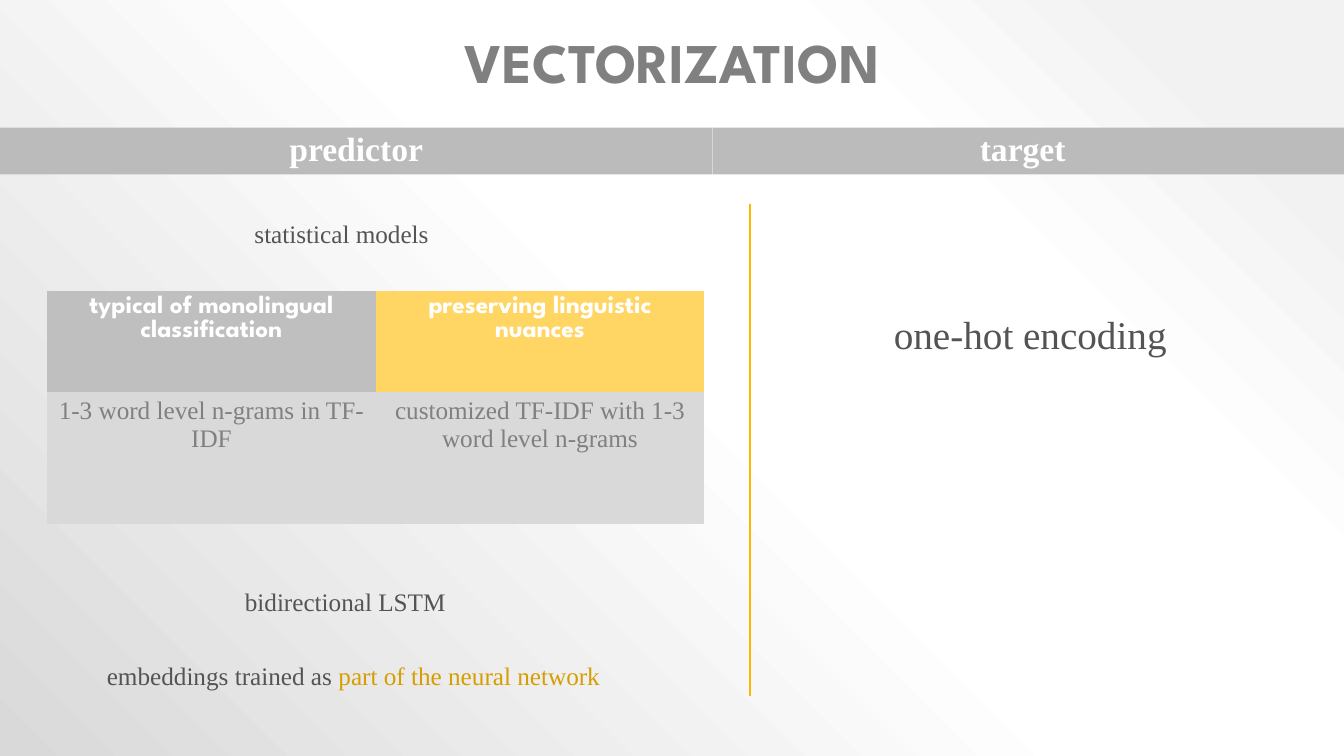
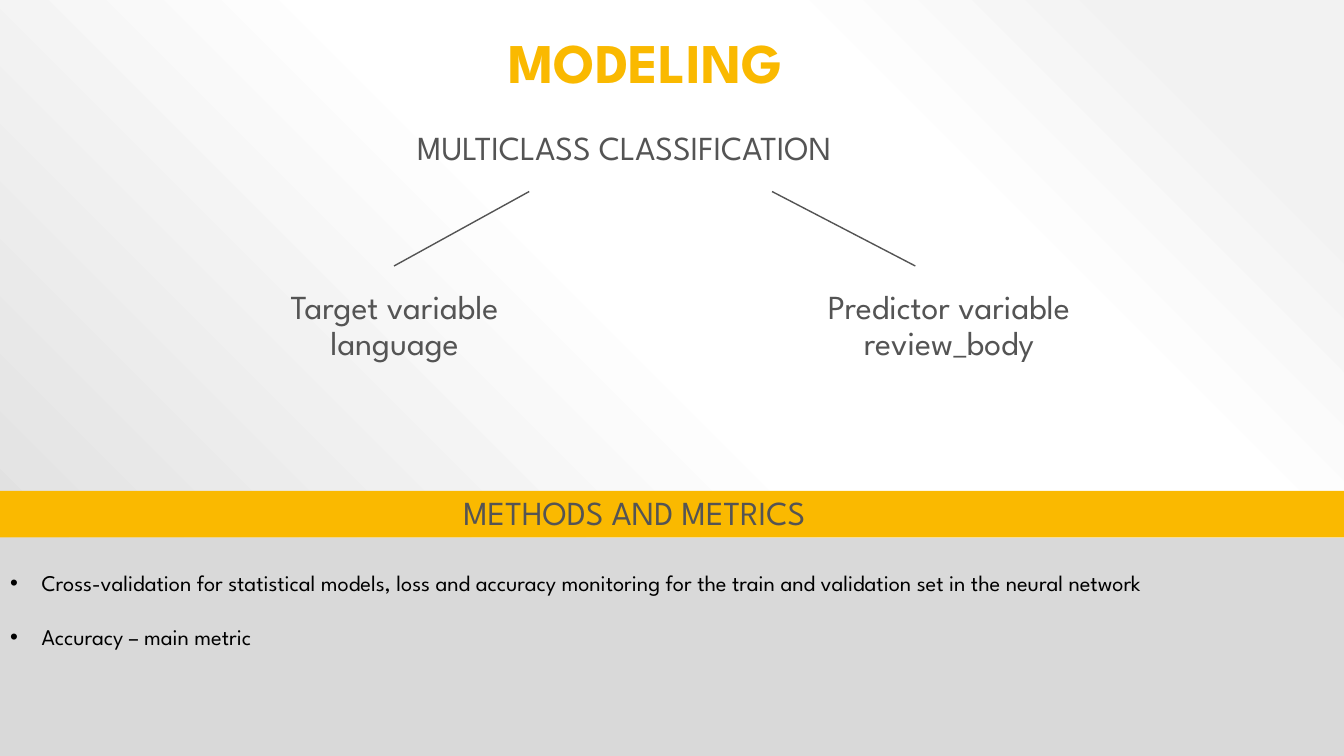
from dataclasses import dataclass

from lxml import etree
from pptx import Presentation
from pptx.dml.color import RGBColor
from pptx.enum.shapes import MSO_CONNECTOR, MSO_SHAPE
from pptx.enum.text import MSO_ANCHOR, MSO_AUTO_SIZE, PP_ALIGN
from pptx.oxml import parse_xml
from pptx.oxml.ns import nsdecls, qn
from pptx.presentation import Presentation as Deck
from pptx.slide import Slide
from pptx.text.text import TextFrame, _Paragraph as Paragraph
from pptx.util import Pt

WIDTH, HEIGHT = 960, 540
SPARTAN, TIMES = "League Spartan", "Times New Roman"
BLACK = RGBColor(0x00, 0x00, 0x00)
WHITE = RGBColor(0xFF, 0xFF, 0xFF)
DARK_GRAY = RGBColor(0x54, 0x54, 0x54)
GRAY = RGBColor(0x80, 0x80, 0x80)
BAND_GRAY = RGBColor(0xBB, 0xBB, 0xBB)
HEADER_GRAY = RGBColor(0xBF, 0xBF, 0xBF)
PALE_GRAY = RGBColor(0xD9, 0xD9, 0xD9)
GOLD = RGBColor(0xFA, 0xB9, 0x00)
DARK_GOLD = RGBColor(0xD6, 0x9E, 0x00)
PALE_GOLD = RGBColor(0xFF, 0xD6, 0x63)
BACKDROP_STOPS = ((10, "F2F2F2"), (28, "FFFFFF"), (48, "FFFFFF"), (100, "D9D9D9"))
NO_GRID_STYLE = "{2D5ABB26-0587-4C30-8999-92F81FD0307C}"
BAND_HEIGHT = 33.4


@dataclass(frozen=True)
class Style:
    font: str
    size: float
    color: RGBColor
    bold: bool = False


@dataclass(frozen=True)
class Box:
    left: float
    top: float
    width: float
    height: float

    def lengths(self) -> tuple[Pt, Pt, Pt, Pt]:
        return Pt(self.left), Pt(self.top), Pt(self.width), Pt(self.height)


@dataclass(frozen=True)
class Label:
    box: Box
    runs: tuple[tuple[str, Style], ...]
    align: PP_ALIGN = PP_ALIGN.CENTER


@dataclass(frozen=True)
class Band:
    text: str
    left: float
    top: float
    width: float
    fill: RGBColor
    style: Style
    right_inset: float = 7.2


@dataclass(frozen=True)
class Line:
    start: tuple[float, float]
    end: tuple[float, float]
    color: RGBColor
    weight: float


@dataclass(frozen=True)
class Cell:
    text: str
    fill: RGBColor
    style: Style


NOTE = Style(TIMES, 18, DARK_GRAY)
NOTE_ACCENT = Style(TIMES, 18, DARK_GOLD)
ENCODING = Style(TIMES, 28, DARK_GRAY)
BAND_TITLE = Style(TIMES, 24, WHITE, True)
DIAGRAM = Style(SPARTAN, 24, DARK_GRAY)
LIST_ITEM = Style(SPARTAN, 16, BLACK)
TABLE_HEAD = Style(SPARTAN, 18, WHITE, True)
TABLE_BODY = Style(TIMES, 18, GRAY)


def add_run(paragraph: Paragraph, text: str, style: Style) -> None:
    run = paragraph.add_run()
    run.text = text
    run.font.name = style.font
    run.font.size = Pt(style.size)
    run.font.bold = style.bold
    run.font.color.rgb = style.color


def set_frame(frame: TextFrame, anchor: MSO_ANCHOR = MSO_ANCHOR.TOP) -> None:
    frame.word_wrap = True
    frame.auto_size = MSO_AUTO_SIZE.NONE
    frame.vertical_anchor = anchor


def fill_line(frame: TextFrame, runs: tuple[tuple[str, Style], ...],
              align: PP_ALIGN = PP_ALIGN.CENTER) -> None:
    paragraph = frame.paragraphs[0]
    paragraph.alignment = align
    paragraph.line_spacing = 0.9
    for text, style in runs:
        add_run(paragraph, text, style)


def set_backdrop(deck: Deck) -> None:
    """Give the master a gradient that spreads from the top right corner."""
    master = deck.slide_master
    master.background.fill.gradient()
    old_gradient = next(master.element.iter(qn("a:gradFill")))
    stops = "".join(f'<a:gs pos="{position * 1000}"><a:srgbClr val="{color}"/></a:gs>'
                    for position, color in BACKDROP_STOPS)
    gradient = parse_xml(
        f'<a:gradFill {nsdecls("a")} rotWithShape="1"><a:gsLst>{stops}</a:gsLst>'
        '<a:path path="circle"><a:fillToRect l="100000" b="100000"/></a:path></a:gradFill>')
    old_gradient.getparent().replace(old_gradient, gradient)


def add_titled_slide(deck: Deck, layout: int, title: str, color: RGBColor,
                     left: float) -> Slide:
    slide = deck.slides.add_slide(deck.slide_layouts[layout])
    heading = slide.shapes.title
    heading.left, heading.top, heading.width, heading.height = Box(left, 21.3, 768, 60).lengths()
    set_frame(heading.text_frame)
    fill_line(heading.text_frame, ((title, Style(SPARTAN, 40, color, True)),))
    return slide


def add_label(slide: Slide, label: Label) -> None:
    frame = slide.shapes.add_textbox(*label.box.lengths()).text_frame
    set_frame(frame)
    fill_line(frame, label.runs, label.align)


def add_band(slide: Slide, band: Band) -> None:
    box = Box(band.left, band.top, band.width, BAND_HEIGHT)
    shape = slide.shapes.add_shape(MSO_SHAPE.RECTANGLE, *box.lengths())
    shape.shadow.inherit = False
    shape.fill.solid()
    shape.fill.fore_color.rgb = band.fill
    shape.line.fill.background()
    set_frame(shape.text_frame, MSO_ANCHOR.MIDDLE)
    shape.text_frame.margin_right = Pt(band.right_inset)
    fill_line(shape.text_frame, ((band.text, band.style),))


def add_line(slide: Slide, line: Line) -> None:
    connector = slide.shapes.add_connector(
        MSO_CONNECTOR.STRAIGHT, *(Pt(value) for value in line.start + line.end))
    connector.line.color.rgb = line.color
    connector.line.width = Pt(line.weight)
    etree.SubElement(connector.element.spPr, qn("a:effectLst"))


def add_grid(slide: Slide, box: Box, row_heights: tuple[float, ...],
             rows: tuple[tuple[Cell, ...], ...]) -> None:
    frame = slide.shapes.add_table(len(rows), len(rows[0]), *box.lengths())
    table = frame.table
    next(frame.element.iter(qn("a:tableStyleId"))).text = NO_GRID_STYLE
    for row_index, (height, row) in enumerate(zip(row_heights, rows)):
        table.rows[row_index].height = Pt(height)
        for column_index, content in enumerate(row):
            cell = table.cell(row_index, column_index)
            cell.fill.solid()
            cell.fill.fore_color.rgb = content.fill
            paragraph = cell.text_frame.paragraphs[0]
            paragraph.alignment = PP_ALIGN.CENTER
            add_run(paragraph, content.text, content.style)


def fill_bullet_panel(slide: Slide, box: Box, items: tuple[str, ...]) -> None:
    panel = slide.placeholders[1]
    panel.left, panel.top, panel.width, panel.height = box.lengths()
    panel.fill.solid()
    panel.fill.fore_color.rgb = PALE_GRAY
    frame = panel.text_frame
    set_frame(frame)
    for index, item in enumerate(items):
        paragraph = frame.add_paragraph() if index else frame.paragraphs[0]
        properties = paragraph._p.get_or_add_pPr()
        properties.set("marL", str(Pt(22.5)))
        properties.set("indent", str(Pt(-22.5)))
        etree.SubElement(properties, qn("a:buFont")).set("typeface", "Arial")
        etree.SubElement(properties, qn("a:buChar")).set("char", "•")
        paragraph.alignment = PP_ALIGN.LEFT
        paragraph.line_spacing = 2.0
        paragraph.space_before = Pt(0)
        add_run(paragraph, item, LIST_ITEM)


def build_vectorization(deck: Deck) -> None:
    slide = add_titled_slide(deck, 5, "VECTORIZATION", GRAY, 96)
    split = 509
    for band in (
        Band("predictor", 0, 91.2, split, BAND_GRAY, BAND_TITLE),
        Band("target", split, 91.2, WIDTH - split, BAND_GRAY, BAND_TITLE, 15),
    ):
        add_band(slide, band)
    for label in (
        Label(Box(67, 154.8, 354, 26.6), (("statistical models", NOTE),)),
        Label(Box(167.8, 417.6, 300, 26.6), (("bidirectional LSTM", NOTE),), PP_ALIGN.LEFT),
        Label(Box(32.5, 470.6, 440, 26.6), (("embeddings trained as ", NOTE),
                                          ("part of the neural network", NOTE_ACCENT))),
        Label(Box(631.4, 221.8, 300, 38), (("one-hot encoding", ENCODING),), PP_ALIGN.LEFT),
    ):
        add_label(slide, label)
    add_grid(slide, Box(33.7, 208, 469.4, 166.1), (71.8, 94.3), (
        (Cell("typical of monolingual classification", HEADER_GRAY, TABLE_HEAD),
         Cell("preserving linguistic nuances", PALE_GOLD, TABLE_HEAD)),
        (Cell("1-3 word level n-grams in TF-IDF", PALE_GRAY, TABLE_BODY),
         Cell("customized TF-IDF with 1-3 word level n-grams", PALE_GRAY, TABLE_BODY)),
    ))
    add_line(slide, Line((536, 497.5), (536, 146), GOLD, 1.5))


def build_modeling(deck: Deck) -> None:
    slide = add_titled_slide(deck, 1, "MODELING", GOLD, 77)
    for label in (
        Label(Box(290.9, 90.7, 354, 33), (("MULTICLASS CLASSIFICATION", DIAGRAM),),
              PP_ALIGN.LEFT),
        Label(Box(185.8, 203.8, 192, 60), (("Target variable language", DIAGRAM),)),
        Label(Box(563.8, 203.8, 228, 60), (("Predictor variable review_body", DIAGRAM),)),
    ):
        add_label(slide, label)
    for start_x, end_x in ((378, 281.5), (551.5, 653.8)):
        add_line(slide, Line((start_x, 136.8), (end_x, 190), DARK_GRAY, 1))
    band = Band("METHODS AND METRICS", 0, 350.6, WIDTH, GOLD, DIAGRAM, 61)
    add_band(slide, band)
    panel_top = band.top + BAND_HEIGHT
    fill_bullet_panel(slide, Box(0, panel_top, WIDTH, HEIGHT - panel_top), (
        "Cross-validation for statistical models, loss and accuracy monitoring for the train "
        "and validation set in the neural network",
        "Accuracy – main metric",
    ))


def main() -> None:
    deck = Presentation()
    deck.slide_width, deck.slide_height = Pt(WIDTH), Pt(HEIGHT)
    set_backdrop(deck)
    build_vectorization(deck)
    build_modeling(deck)
    deck.save("out.pptx")


if __name__ == "__main__":
    main()
